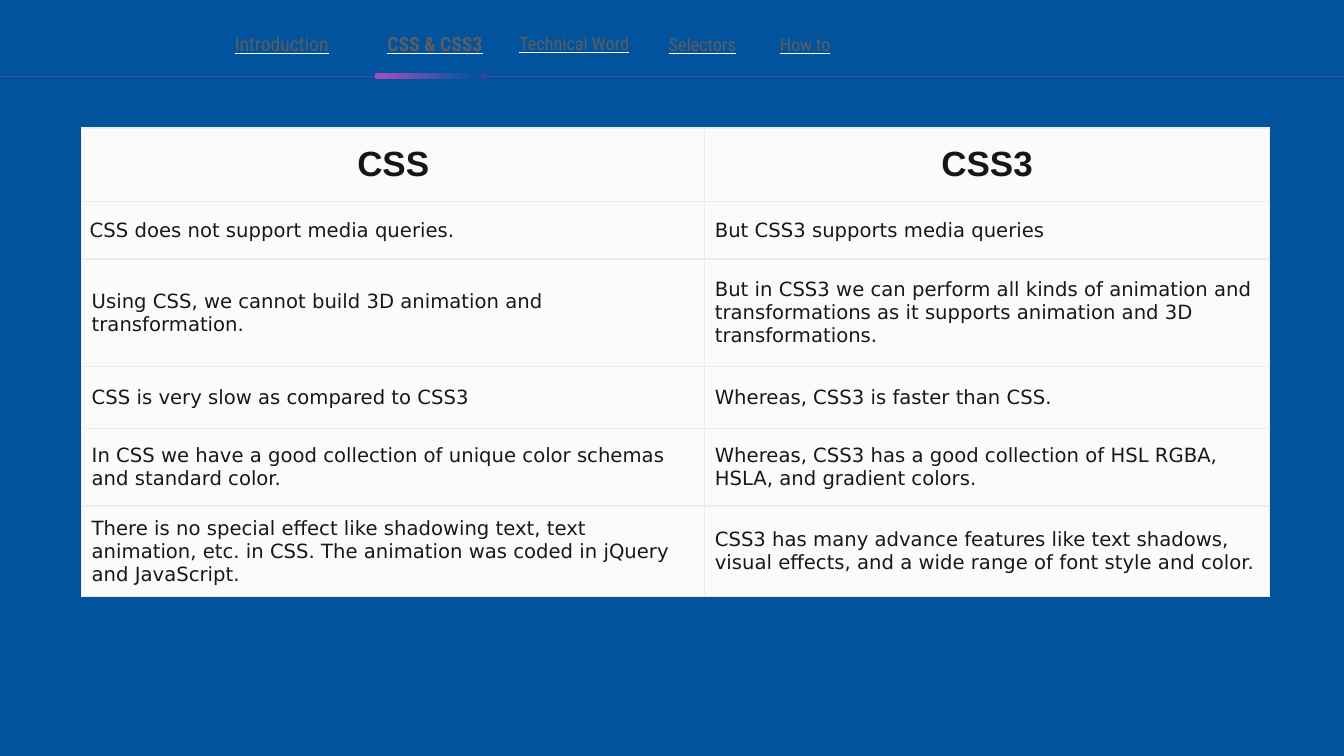
from lxml import etree
from pptx import Presentation
from pptx.dml.color import RGBColor
from pptx.enum.shapes import MSO_CONNECTOR as Connector, MSO_SHAPE as Shape
from pptx.enum.text import MSO_ANCHOR as Anchor, PP_ALIGN as Align
from pptx.oxml import parse_xml
from pptx.oxml.ns import nsdecls, qn
from pptx.util import Inches, Pt


def color(value):
    return RGBColor.from_string(value)


def style(para, font, size, value, bold=False):
    for span in para.runs:
        span.font.size = Pt(size)
        span.font.bold = bold
        span.font.color.rgb = color(value)
        span.font.name = font


deck = Presentation()
deck.slide_width, deck.slide_height = Inches(13.33), Inches(7.5)
page = deck.slides.add_slide(deck.slide_layouts[6])
page.background.fill.solid()
page.background.fill.fore_color.rgb = color("01539D")

rule = page.shapes.add_connector(
    Connector.STRAIGHT, 0, Inches(0.76), deck.slide_width, Inches(0.76))
rule.line.color.rgb = color("5C3DA4")
rule.line.width = Pt(0.75)
etree.SubElement(rule._element.spPr, qn("a:effectLst"))

marker = page.shapes.add_shape(
    Shape.ROUNDED_RECTANGLE, Inches(3.72), Inches(0.73), Inches(1.1), Inches(0.05))
marker.rotation = 180
marker.shadow.inherit = False
marker.line.fill.background()
marker.fill.gradient()
gradient = marker._element.spPr.find(qn("a:gradFill"))
stops = "".join(
    f'<a:gs pos="{share * 1000}"><a:srgbClr val="{value}"/></a:gs>'
    for share, value in [(0, "B24EBE"), (89, "01539D"), (100, "5C3DA4")])
gradient.getparent().replace(gradient, parse_xml(
    f'<a:gradFill {nsdecls("a")} rotWithShape="1"><a:gsLst>{stops}</a:gsLst>'
    '<a:lin ang="8100000" scaled="0"/></a:gradFill>'))

tabs = [
    ("Introduction", 2.23, 0.21, 1.29, 14, Align.LEFT),
    ("CSS & CSS3", 3.6, 0.21, 1.43, 14, Align.CENTER),
    ("Technical Word", 4.98, 0.21, 1.43, 13, Align.CENTER),
    ("Selectors", 6.25, 0.22, 1.43, 13, Align.CENTER),
    ("How to", 7.27, 0.22, 1.43, 13, Align.CENTER),
]
for label, left, top, width, size, align in tabs:
    box = page.shapes.add_textbox(Inches(left), Inches(top), Inches(width), Inches(0.44))
    frame = box.text_frame
    frame.word_wrap = True
    frame.vertical_anchor = Anchor.MIDDLE
    frame.margin_left = frame.margin_right = Inches(0.1)
    frame.margin_top = frame.margin_bottom = Inches(0.1)
    frame.text = label
    para = frame.paragraphs[0]
    para.alignment = align
    style(para, "Roboto Condensed", size, "5C5C61", label == "CSS & CSS3")
    font = para.runs[0].font
    font.underline = True
    font._element.find(qn("a:solidFill")).addnext(parse_xml(
        f'<a:uFill {nsdecls("a")}><a:solidFill><a:srgbClr val="FFFFFF"/></a:solidFill></a:uFill>'))

comparison = [
    ("CSS", "CSS3"),
    ("CSS does not support media queries.", "But CSS3 supports media queries"),
    ("Using CSS, we cannot build 3D animation and transformation.",
     "But in CSS3 we can perform all kinds of animation and transformations "
     "as it supports animation and 3D transformations."),
    ("CSS is very slow as compared to CSS3", "Whereas, CSS3 is faster than CSS."),
    ("In CSS we have a good collection of unique color schemas and standard color.",
     "Whereas, CSS3 has a good collection of HSL RGBA, HSLA, and gradient colors."),
    ("There is no special effect like shadowing text, text animation, etc. in CSS. "
     "The animation was coded in jQuery and JavaScript.",
     "CSS3 has many advance features like text shadows, visual effects, "
     "and a wide range of font style and color."),
]
widths = [6.18, 5.6]
heights = [0.73, 0.57, 1.07, 0.61, 0.77, 0.89]
table = page.shapes.add_table(
    len(heights), len(widths), Inches(0.81), Inches(1.27),
    Inches(sum(widths)), Inches(sum(heights))).table
for column, width in zip(table.columns, widths):
    column.width = Inches(width)
for row, height, texts in zip(table.rows, heights, comparison):
    row.height = Inches(height)
    header = texts == comparison[0]
    for cell, text in zip(row.cells, texts):
        cell.text = text
        cell.vertical_anchor = Anchor.MIDDLE
        cell.margin_left = cell.margin_right = Inches(0.1)
        cell.margin_top = cell.margin_bottom = Inches(0.1)
        para = cell.text_frame.paragraphs[0]
        if header:
            para.alignment = Align.CENTER
            style(para, "Arial", 25, "161616", True)
        else:
            style(para, "DejaVu Sans", 14, "181818")
        properties = cell._tc.get_or_add_tcPr()
        for side in ("lnL", "lnR", "lnT", "lnB"):
            properties.append(parse_xml(
                f'<a:{side} {nsdecls("a")} w="12700"><a:solidFill>'
                f'<a:srgbClr val="ECECEC"/></a:solidFill></a:{side}>'))
        cell.fill.solid()
        cell.fill.fore_color.rgb = color("FBFBFB")
table.cell(1, 0).margin_left = Inches(0.08)

deck.save("out.pptx")
